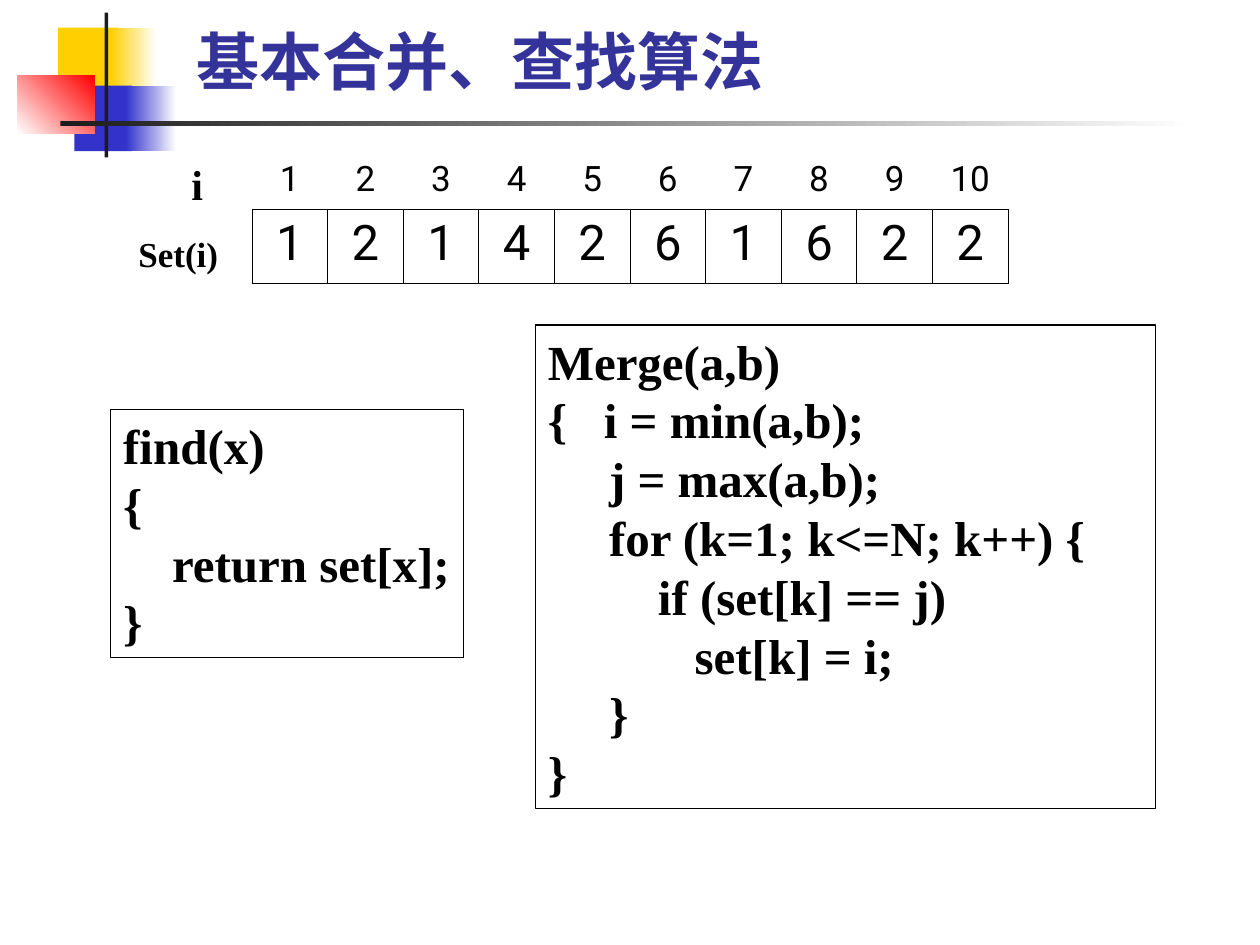
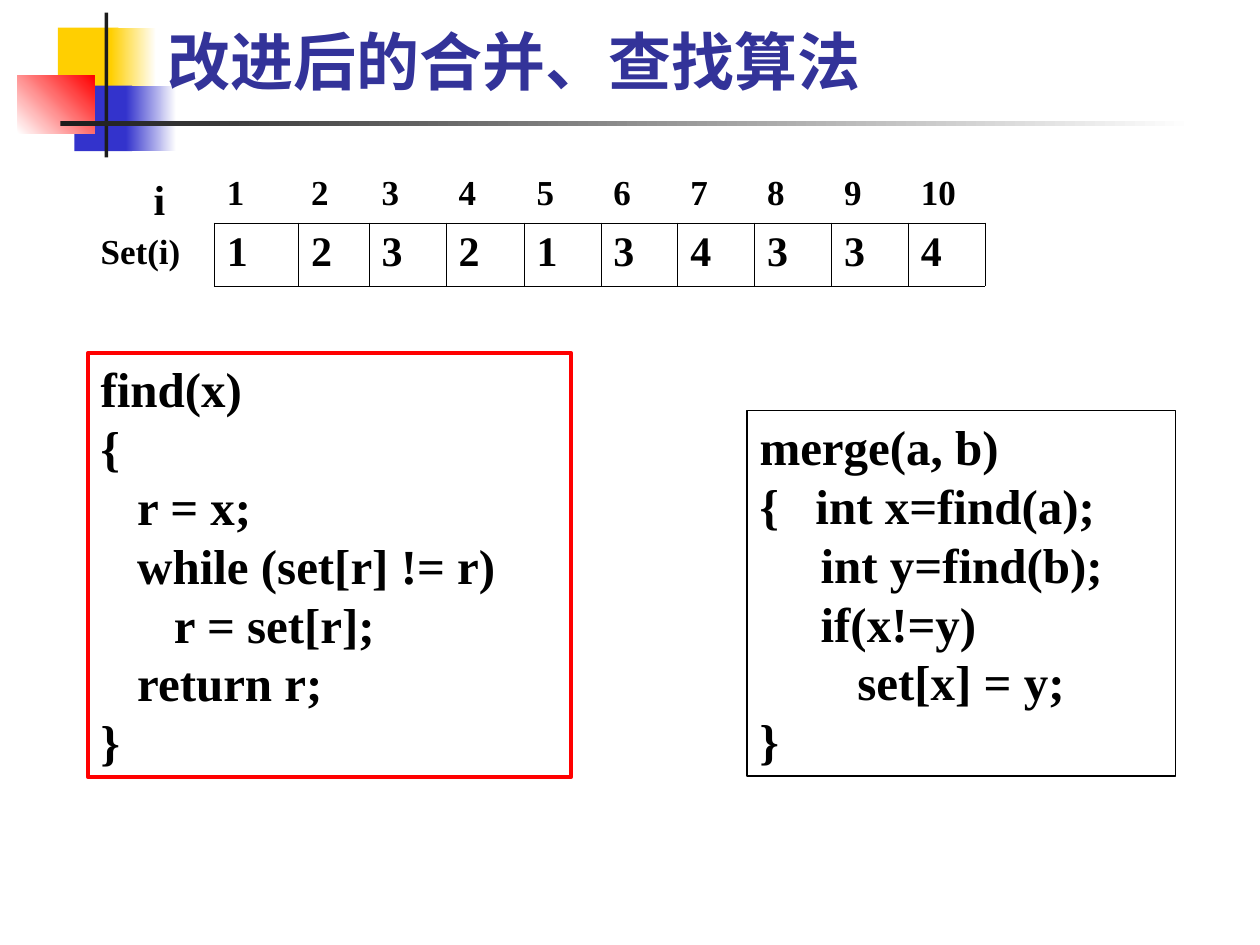
from lxml import etree
from pptx import Presentation
from pptx.dml.color import RGBColor
from pptx.enum.shapes import MSO_SHAPE
from pptx.enum.text import MSO_ANCHOR, MSO_AUTO_SIZE, PP_ALIGN
from pptx.oxml import parse_xml
from pptx.oxml.ns import nsdecls, qn
from pptx.util import Inches, Pt

COLORS = {
    "yellow": "FFCF01", "blue": "3333CC", "red": "FF0000", "dark": "1C1C1C",
    "white": "FFFFFF", "black": "000000", "title": "333399",
}
SERIF, SANS = "Times New Roman", "Roboto"
NO_TABLE_STYLE = "{2D5ABB26-0587-4C30-8999-92F81FD0307C}"

# Fill is one colour, or two colours and the angle of a gradient.
BAND = [
    ((0.46, 0.22, 0.48, 0.52), ("yellow",)),
    ((0.88, 0.22, 0.36, 0.52), ("yellow", "white", 0)),
    ((0.59, 0.68, 0.46, 0.52), ("blue",)),
    ((1, 0.68, 0.4, 0.52), ("blue", "white", 0)),
    ((0.14, 0.6, 0.61, 0.46), ("white", "red", 45)),
    ((0.83, 0.1, 0.03, 1.15), ("dark",)),
    ((0.48, 0.96, 9, 0.04), ("dark", "white", 0)),
]

SLIDES = [
    {
        "title": ("基本合并、查找算法", (1.46, 0.25, 8.26, 0.58)),
        "codes": [
            ((0.88, 3.25, 2.8, 1.97), "black", 0.75, False, [
                "find(x)",
                "{",
                "    return set[x];",
                "}",
            ]),
            ((4.25, 2.58, 4.92, 3.84), "black", 0.75, True, [
                "Merge(a,b)",
                "{   i = min(a,b);",
                "     j = max(a,b);",
                "     for (k=1; k<=N; k++) {",
                "         if (set[k] == j)",
                "            set[k] = i;",
                "     }",
                "}",
            ]),
        ],
        "table": {
            "at": (2, 1.21), "columns": [0.6] * 10, "rows": [0.45, 0.59],
            "sets": [1, 2, 1, 4, 2, 6, 1, 6, 2, 2], "sizes": [20, 28],
            "font": SANS, "bold": False, "align": PP_ALIGN.CENTER,
        },
        "labels": [
            ("i", 24, (1.42, 1.21, 0.29, 0.5)),
            ("Set(i)", 20, (1, 1.8, 0.92, 0.44)),
        ],
    },
    {
        "title": ("改进后的合并、查找算法", (1.23, 0.25, 8.55, 0.58)),
        "codes": [
            ((0.7, 2.8, 3.83, 3.37), "red", 2.25, True, [
                "find(x)",
                "{",
                "   r = x;",
                "   while (set[r] != r)",
                "      r = set[r];",
                "   return r;",
                "}",
            ]),
            ((5.93, 3.26, 3.4, 2.9), "black", 0.75, True, [
                "merge(a, b)",
                "{   int x=find(a);",
                "     int y=find(b);",
                "     if(x!=y)",
                "        set[x] = y;",
                "}",
            ]),
        ],
        "table": {
            "at": (1.7, 1.33), "columns": [0.67, 0.56, 0.61, 0.62] + [0.61] * 6,
            "rows": [0.44, 0.5],
            "sets": [1, 2, 3, 2, 1, 3, 4, 3, 3, 4], "sizes": [20, 24],
            "font": SERIF, "bold": True, "align": PP_ALIGN.LEFT,
        },
        "labels": [
            ("i", 24, (1.12, 1.33, 0.29, 0.5)),
            ("Set(i)", 20, (0.7, 1.77, 0.92, 0.44)),
        ],
    },
]


def add_run(paragraph, text, size, font=SERIF, color="black", bold=True):
    run = paragraph.add_run()
    run.text = text
    run.font.size = Pt(size)
    run.font.name = font
    run.font.bold = bold
    run.font.color.rgb = RGBColor.from_string(COLORS[color])


def write_lines(shape, lines, size, wrap=True):
    """Fill a shape with left-aligned lines, one paragraph each, from the top."""
    frame = shape.text_frame
    frame.word_wrap = wrap
    frame.vertical_anchor = MSO_ANCHOR.TOP
    for index, line in enumerate(lines):
        paragraph = frame.add_paragraph() if index else frame.paragraphs[0]
        paragraph.alignment = PP_ALIGN.LEFT
        paragraph.line_spacing = Pt(size * 1.2)
        add_run(paragraph, line, size)


presentation = Presentation()
presentation.slide_width = Inches(10)
presentation.slide_height = Inches(7.5)
layout = presentation.slide_layouts[5]
for placeholder in list(layout.placeholders):
    if placeholder.placeholder_format.idx != 0:
        layout.shapes.element.remove(placeholder.element)

slides = [presentation.slides.add_slide(layout) for _ in SLIDES]

# The band is drawn once and moved to the layout, behind its title.
band_shapes = []
for box, fill in BAND:
    shape = slides[0].shapes.add_shape(MSO_SHAPE.RECTANGLE, *map(Inches, box))
    shape.shadow.inherit = False
    shape.line.fill.background()
    if len(fill) == 1:
        shape.fill.solid()
        shape.fill.fore_color.rgb = RGBColor.from_string(COLORS[fill[0]])
    else:
        shape.fill.gradient()
        shape.fill.gradient_angle = fill[2]
        for stop, color in zip(shape.fill.gradient_stops, fill[:2]):
            stop.color.rgb = RGBColor.from_string(COLORS[color])
        for stop, position in zip(shape.fill.gradient_stops, (0, 1)):
            stop.position = position
    band_shapes.append(shape)
for position, shape in enumerate(band_shapes, start=2):
    layout.shapes.element.insert(position, shape.element)

for slide, content in zip(slides, SLIDES):
    # Title
    text, box = content["title"]
    title = slide.shapes.title
    title.left, title.top, title.width, title.height = map(Inches, box)
    title.text_frame.auto_size = MSO_AUTO_SIZE.NONE
    title.text_frame.vertical_anchor = MSO_ANCHOR.BOTTOM
    paragraph = title.text_frame.paragraphs[0]
    paragraph.alignment = PP_ALIGN.LEFT
    add_run(paragraph, text, 36, SANS, "title")

    # Code boxes
    for box, color, width, wrap, lines in content["codes"]:
        shape = slide.shapes.add_shape(MSO_SHAPE.RECTANGLE, *map(Inches, box))
        shape.shadow.inherit = False
        shape.fill.background()
        shape.line.color.rgb = RGBColor.from_string(COLORS[color])
        shape.line.width = Pt(width)
        write_lines(shape, lines, 28, wrap)

    # Indices above the framed set numbers
    array = content["table"]
    size = sum(array["columns"]), sum(array["rows"])
    graphic_frame = slide.shapes.add_table(
        2, 10, *map(Inches, array["at"] + size))
    table = graphic_frame.table
    table.first_row = table.horz_banding = False
    next(graphic_frame.element.iter(qn("a:tableStyleId"))).text = NO_TABLE_STYLE
    for column, width in zip(table.columns, array["columns"]):
        column.width = Inches(width)
    values = [range(1, 11), array["sets"]]
    for row_index, row in enumerate(table.rows):
        row.height = Inches(array["rows"][row_index])
        for cell, value in zip(row.cells, values[row_index]):
            cell.fill.background()
            paragraph = cell.text_frame.paragraphs[0]
            paragraph.alignment = array["align"]
            add_run(paragraph, str(value), array["sizes"][row_index],
                    array["font"], bold=array["bold"])
            sides = "LRTB" if row_index else "B"
            properties = cell._tc.get_or_add_tcPr()
            for position, side in enumerate(sides):
                border = parse_xml(f'<a:ln{side} {nsdecls("a")} w="{Pt(0.45)}"/>')
                solid = etree.SubElement(border, qn("a:solidFill"))
                etree.SubElement(solid, qn("a:srgbClr"), val=COLORS["black"])
                properties.insert(position, border)

    # Row labels
    for text, size, box in content["labels"]:
        label = slide.shapes.add_textbox(*map(Inches, box))
        write_lines(label, [text], size)

presentation.save("out.pptx")
